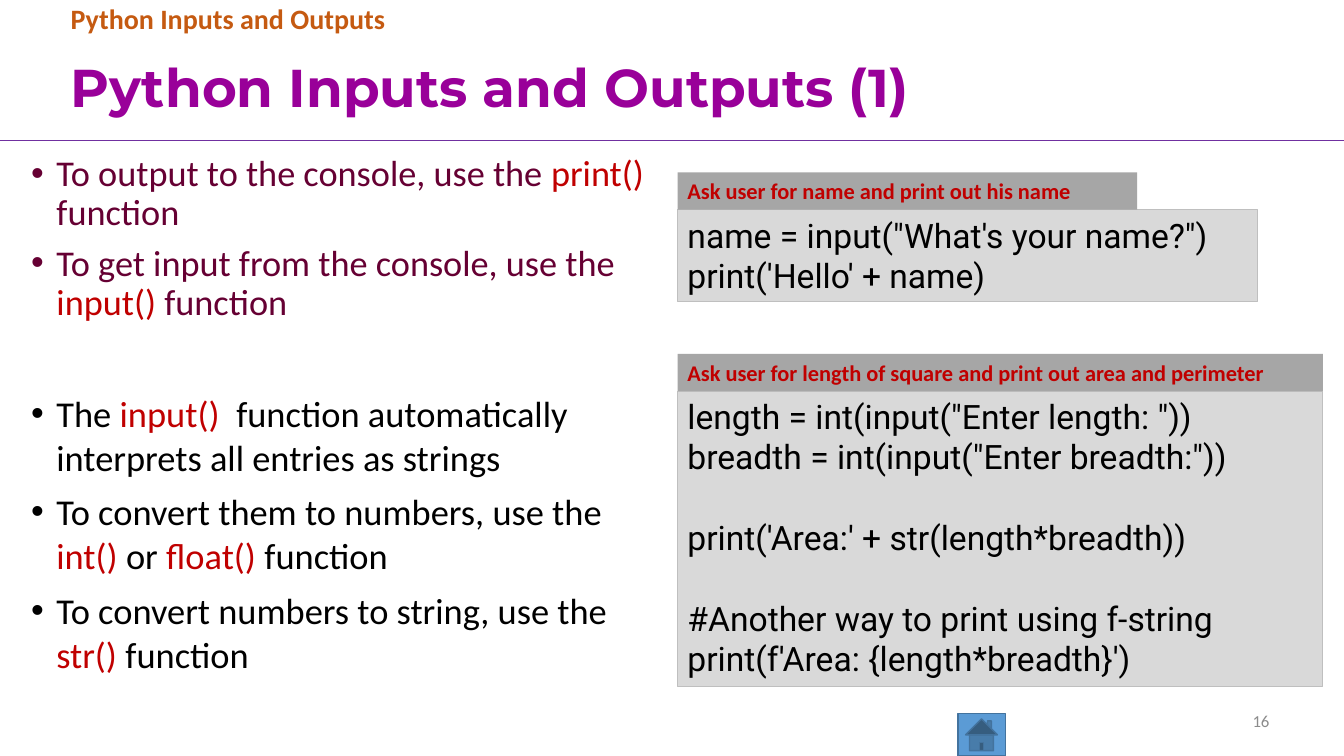
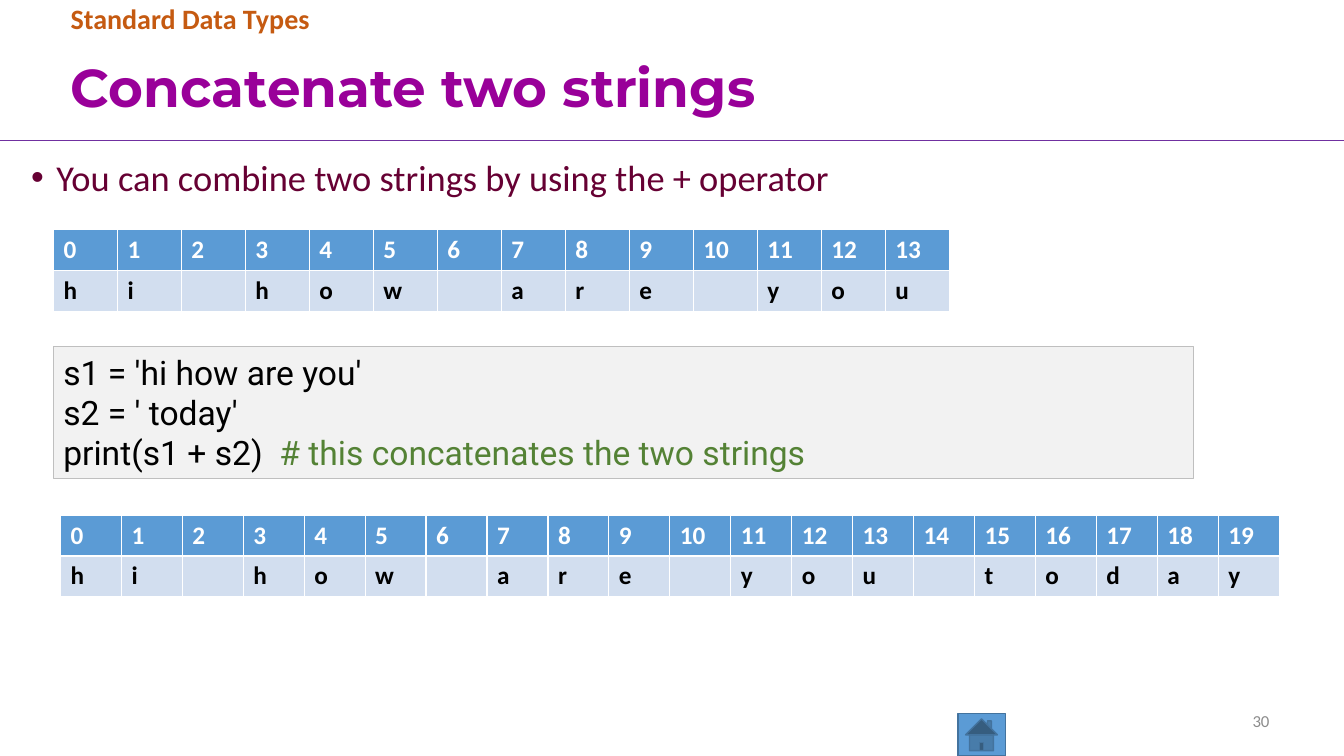
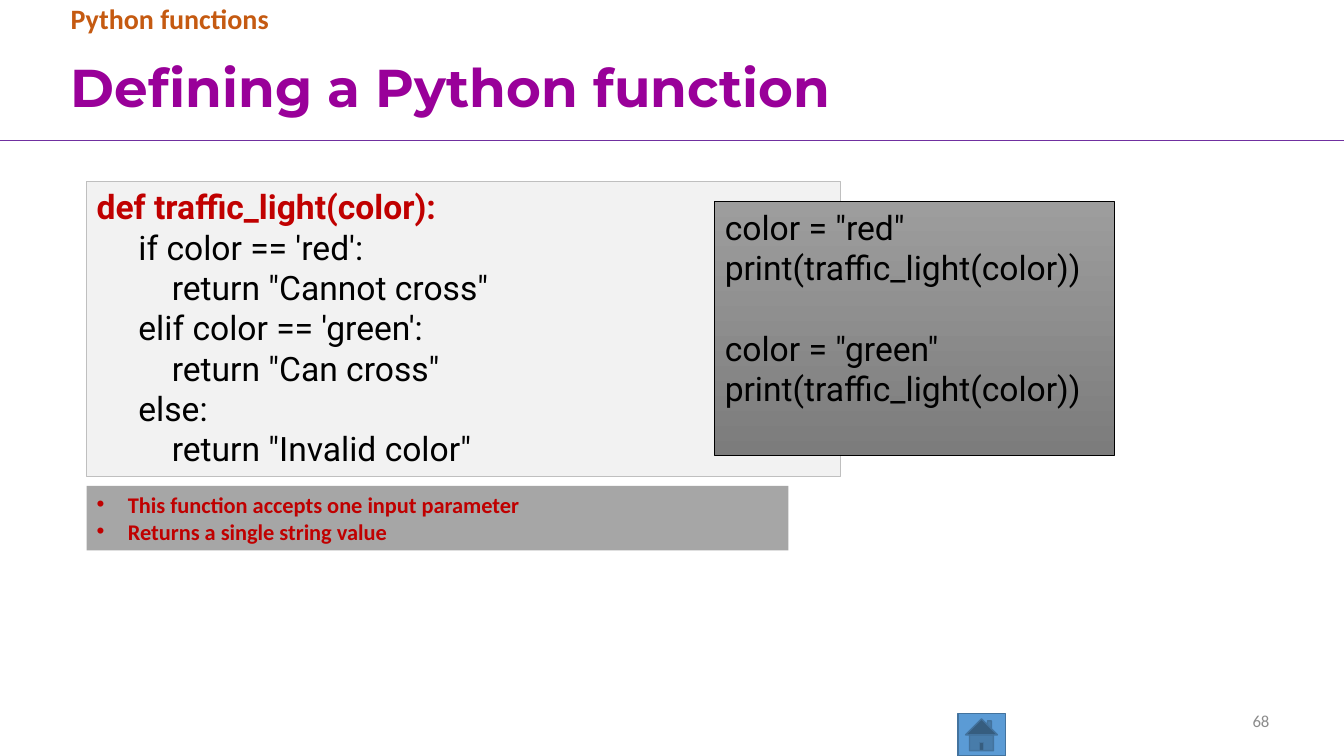
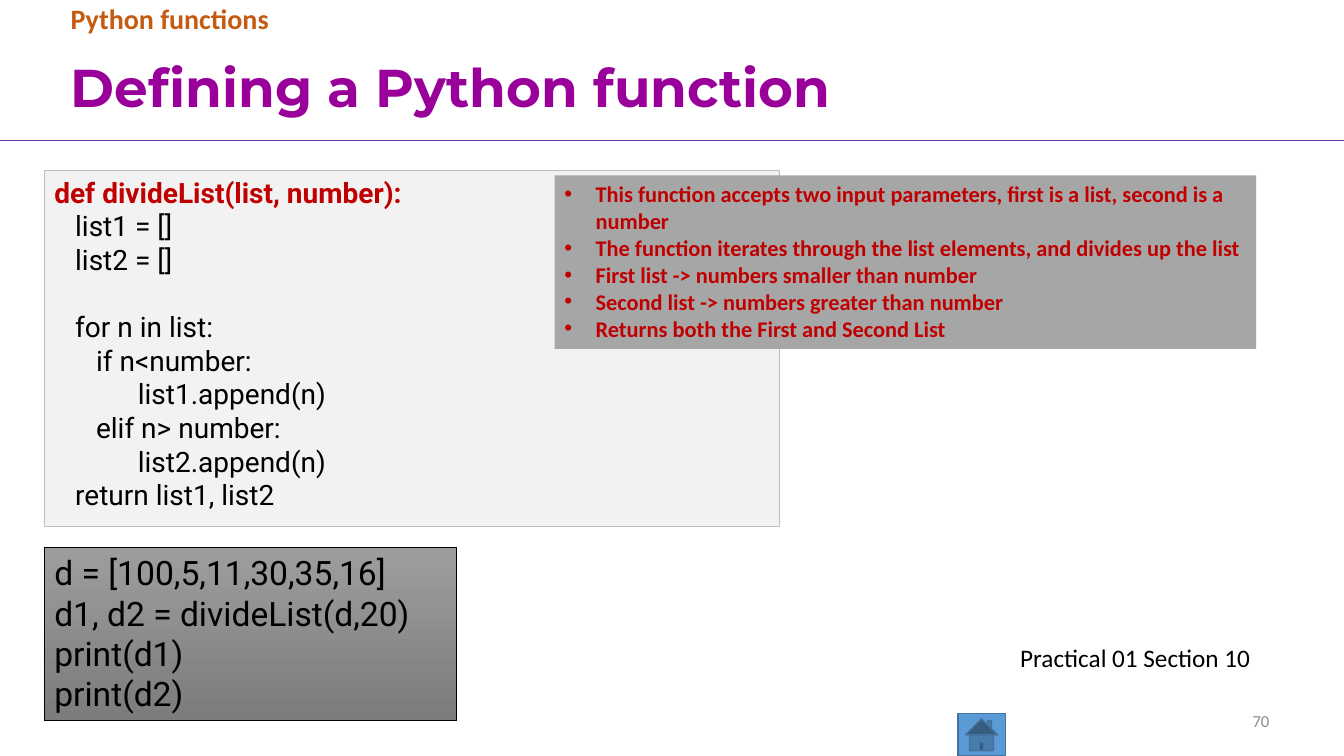
from lxml import etree
from pptx import Presentation
from pptx import util as u
from pptx.dml.color import RGBColor
from pptx.enum import shapes, text
from pptx.oxml.ns import qn

PURPLE = RGBColor(0x99, 0x00, 0x99)
RULE = RGBColor(0x70, 0x30, 0xA0)
ORANGE = RGBColor(0xC5, 0x5A, 0x11)
PLUM = RGBColor(0x66, 0x00, 0x33)
RED = RGBColor(0xC0, 0x00, 0x00)
GREEN = RGBColor(0x54, 0x82, 0x35)
BLACK = RGBColor(0x00, 0x00, 0x00)
WHITE = RGBColor(0xFF, 0xFF, 0xFF)
BLUE = RGBColor(0x5B, 0x9B, 0xD5)
NAVY = RGBColor(0x43, 0x73, 0x9E)
PALE = RGBColor(0xD2, 0xDE, 0xEF)
DIM = RGBColor(0x8C, 0x8C, 0x8C)
SILVER = RGBColor(0xBF, 0xBF, 0xBF)
LIGHT = RGBColor(0xF2, 0xF2, 0xF2)
GREY = RGBColor(0xD9, 0xD9, 0xD9)
STEEL = RGBColor(0xA6, 0xA6, 0xA6)
SHADES = RGBColor(0x9D, 0x9D, 0x9D), RGBColor(0x7C, 0x7C, 0x7C)


def look(name, size, color, bold=False):
    return {"name": name, "size": u.Pt(size), "bold": bold, "color": color}


TITLE = look("Montserrat", 38, PURPLE, True)
TAG = look("Calibri", 20, ORANGE, True)
LEAD = look("Calibri", 26, PLUM)
LIST = look("Calibri", 26, BLACK)
NOTE = look("Calibri", 16, RED, True)
PAGE = look("Calibri", 12, DIM)
PLAIN = look("Calibri", 18, BLACK)
HEAD = look("Calibri", 18, WHITE, True)
CELL = look("Calibri", 18, BLACK, True)
CODE = look("Roboto", 24, BLACK)
SMALL = look("Roboto", 20, BLACK)

HOT = {"color": RED}
DEF = {"color": RED, "bold": True}
REM = {"color": GREEN}
TIGHT = {"line_spacing": 0.9}
LOOSE = {"space_before": u.Pt(8)}

ASK = """name = input("What's your name?")
print('Hello' + name)"""
AREA = """length = int(input("Enter length: "))
breadth = int(input("Enter breadth:"))

print('Area:' + str(length*breadth))

#Another way to print using f-string
print(f'Area: {length*breadth}')"""
JOIN = """s1 = 'hi how are you'
s2 = ' today'
print(s1 + s2)  |# this concatenates the two strings|"""
LIGHTS = """|def traffic_light(color):|
     if color == 'red':
         return "Cannot cross"
     elif color == 'green':
         return "Can cross"
     else:
         return "Invalid color\""""
CROSS = """color = "red"
print(traffic_light(color))

color = "green"
print(traffic_light(color))"""
DIVIDE = """|def divideList(list, number):|
   list1 = []
   list2 = []

   for n in list:
      if n<number:
            list1.append(n)
      elif n> number:
            list2.append(n)
   return list1, list2"""
CALL = """d = [100,5,11,30,35,16]
d1, d2 = divideList(d,20)
print(d1)
print(d2)"""

SLIDES = [
    {"page": "16", "tag": "Python Inputs and Outputs",
     "title": "Python Inputs and Outputs (1)",
     "lead": ((0.21, 1.49, 6.3, 1.82), TIGHT, 25.9, [
         "To output to the console, use the |print()| function",
         "To get input from the console, use the |input()| function"]),
     "parts": [
         ("code", (6.72, 2.08, 5.75, 0.91), ASK, GREY),
         ("code", (6.72, 3.88, 6.4, 2.93), AREA, GREY),
         ("note", (6.72, 1.71, 4.56, 0.37),
          ["Ask user for name and print out his name"]),
         ("note", (6.72, 3.51, 6.4, 0.37),
          ["Ask user for length of square and print out area and perimeter"]),
         ("list", (0.21, 3.83, 6.12, 2.91), [
             "The |input()  |function automatically interprets all entries as strings",
             "To convert them to numbers, use the |int() |or |float()| function",
             "To convert numbers to string, use the |str()| function"])]},
    {"page": "30", "tag": "Standard Data Types",
     "title": "Concatenate two strings",
     "lead": ((0.21, 1.49, 12.96, 1.19), {}, 26, [
         "You can combine two strings by using the + operator"]),
     "parts": [
         ("code", (0.53, 3.44, 11.31, 1.31), JOIN, LIGHT, CODE, REM),
         ("grid", (0.53, 2.28, 8.89, 0.81), "hi how are you"),
         ("grid", (0.6, 5.11, 12.09, 0.81), "hi how are you today")]},
    {"page": "68", "tag": "Python functions",
     "title": "Defining a Python function",
     "parts": [
         ("code", (0.86, 1.8, 7.48, 2.93), LIGHTS, LIGHT),
         ("note", (0.86, 4.82, 6.96, 0.64), [
             "This function accepts one input parameter",
             "Returns a single string value"], 0.31),
         ("code", (7.09, 2, 3.96, 2.52), CROSS)]},
    {"page": "70", "tag": "Python functions",
     "title": "Defining a Python function",
     "parts": [
         ("code", (0.44, 1.69, 7.29, 3.53), DIVIDE, LIGHT, SMALL),
         ("note", (5.5, 1.74, 6.96, 1.72), [
             "This function accepts two input parameters, first is a list, second is a number",
             "The function iterates through the list elements, and divides up the list",
             "First list -> numbers smaller than number",
             "Second list -> numbers greater than number",
             "Returns both the First and Second List"], 0.31),
         ("code", (0.44, 5.43, 4.09, 1.72), CALL),
         ("text", (10.02, 6.32, 2.58, 0.4), ["Practical 01 Section 10"], PLAIN)]},
]


def box(at):
    return [u.Inches(v) for v in at]


def ink(font, fmt):
    for key, val in fmt.items():
        if key == "color":
            font.color.rgb = val
        else:
            setattr(font, key, val)


def dent(para, left, hang=0):
    props = para._p.get_or_add_pPr()
    props.set("marL", str(u.Inches(left)))
    props.set("indent", str(-u.Inches(hang)))
    if hang:
        etree.SubElement(props, qn("a:buFont")).set("typeface", "Arial")
        etree.SubElement(props, qn("a:buChar")).set("char", "•")
    else:
        etree.SubElement(props, qn("a:buNone"))


def fill(frame, lines, fmt, mark=HOT, hang=0, anchor=text.MSO_ANCHOR.TOP, **para):
    frame.word_wrap = True
    frame.auto_size = text.MSO_AUTO_SIZE.NONE
    frame.vertical_anchor = anchor
    form = {"alignment": text.PP_ALIGN.LEFT, "space_before": u.Pt(0), **para}
    size = fmt["size"].pt
    gap = 0
    first = True
    for line in lines:
        if not line:
            gap += 1.2 * size
            continue
        p = frame.paragraphs[0] if first else frame.add_paragraph()
        first = False
        for key, val in form.items():
            setattr(p, key, val)
        if gap:
            p.space_before = u.Pt(gap)
            gap = 0
        bare = line.lstrip(" ")
        dent(p, hang or (len(line) - len(bare)) * size * 0.00345, hang)
        for i, bit in enumerate(bare.split("|")):
            if bit:
                run = p.add_run()
                run.text = bit
                ink(run.font, {**fmt, **mark} if i % 2 else fmt)


def rect(slide, at, tone, edge=None, width=0.75):
    shape = slide.shapes.add_shape(shapes.MSO_SHAPE.RECTANGLE, *box(at))
    shape.shadow.inherit = False
    if tone:
        shape.fill.solid()
        shape.fill.fore_color.rgb = tone
    else:
        shape.fill.gradient()
        shape.fill.gradient_angle = 270
        for stop, shade in zip(shape.fill.gradient_stops, SHADES):
            stop.color.rgb = shade
    if edge is None:
        shape.line.fill.background()
    else:
        shape.line.color.rgb = edge
        shape.line.width = u.Pt(width)
    return shape.text_frame


def code(slide, at, body, tone=None, fmt=CODE, mark=DEF):
    edge = (SILVER, 0.75) if tone else (BLACK, 0.5)
    fill(rect(slide, at, tone, *edge), body.split("\n"), fmt, mark)


def note(slide, at, lines, hang=0):
    fill(rect(slide, at, STEEL), lines, NOTE, hang=hang)


def label(slide, at, lines, fmt, **form):
    fill(slide.shapes.add_textbox(*box(at)).text_frame, lines, fmt, **form)


def points(slide, at, lines):
    label(slide, at, lines, LIST, hang=0.25, **LOOSE)


def grid(slide, at, word):
    table = slide.shapes.add_table(2, len(word), *box(at)).table
    for col, char in enumerate(word):
        table.columns[col].width = u.Inches(at[2] / len(word))
        for row, (val, fmt, tone) in enumerate(
                [(str(col), HEAD, BLUE), (char.strip(), CELL, PALE)]):
            cell = table.cell(row, col)
            cell.fill.solid()
            cell.fill.fore_color.rgb = tone
            p = cell.text_frame.paragraphs[0]
            if val:
                run = p.add_run()
                run.text = val
                ink(run.font, fmt)


def hold(shape, at, lines, fmt, **form):
    for key, val in zip(("left", "top", "width", "height"), box(at)):
        setattr(shape, key, val)
    fill(shape.text_frame, lines, fmt, **form)


def brand(slide, master):
    rule = slide.shapes.add_connector(
        shapes.MSO_CONNECTOR.STRAIGHT, *box((0, 1.39, 13.33, 1.39)))
    rule.line.color.rgb = RULE
    rule.line.width = u.Pt(0.5)
    etree.SubElement(rule.element.spPr, qn("a:effectLst"))
    home = slide.shapes.add_shape(
        shapes.MSO_SHAPE.ACTION_BUTTON_HOME, *box((9.5, 7.08, 0.47, 0.42)))
    home.shadow.inherit = False
    home.fill.solid()
    home.fill.fore_color.rgb = BLUE
    home.line.color.rgb = NAVY
    home.line.width = u.Pt(1)
    for num, shape in enumerate((rule, home), 50):
        shape.element.xpath(".//p:cNvPr")[0].set("id", str(num))
        master.shapes.element.append(shape.element)


DRAW = {"code": code, "note": note, "list": points, "grid": grid, "text": label}


def build(deck, data):
    lead = data.get("lead")
    slide = deck.slides.add_slide(deck.slide_layouts[3 if lead else 1])
    hold(slide.shapes.title, (0.6, 0.41, 12.09, 0.97), [data["title"]], TITLE,
         anchor=text.MSO_ANCHOR.MIDDLE, **TIGHT)
    hold(slide.placeholders[1], (0.6, 0, 10.34, 0.41), [data["tag"]], TAG, **TIGHT)
    if lead:
        at, form, size, lines = lead
        hold(slide.placeholders[2], at, lines, {**LEAD, "size": u.Pt(size)},
             hang=0.25, **LOOSE, **form)
    label(slide, (9.42, 6.95, 3.27, 0.4), [data["page"]], PAGE,
          anchor=text.MSO_ANCHOR.MIDDLE, alignment=text.PP_ALIGN.RIGHT)
    for kind, *args in data["parts"]:
        DRAW[kind](slide, *args)
    return slide


def main():
    deck = Presentation()
    deck.slide_width, deck.slide_height = box((13.33, 7.5))
    made = [build(deck, data) for data in SLIDES]
    brand(made[0], deck.slide_master)
    deck.save("out.pptx")


if __name__ == "__main__":
    main()
